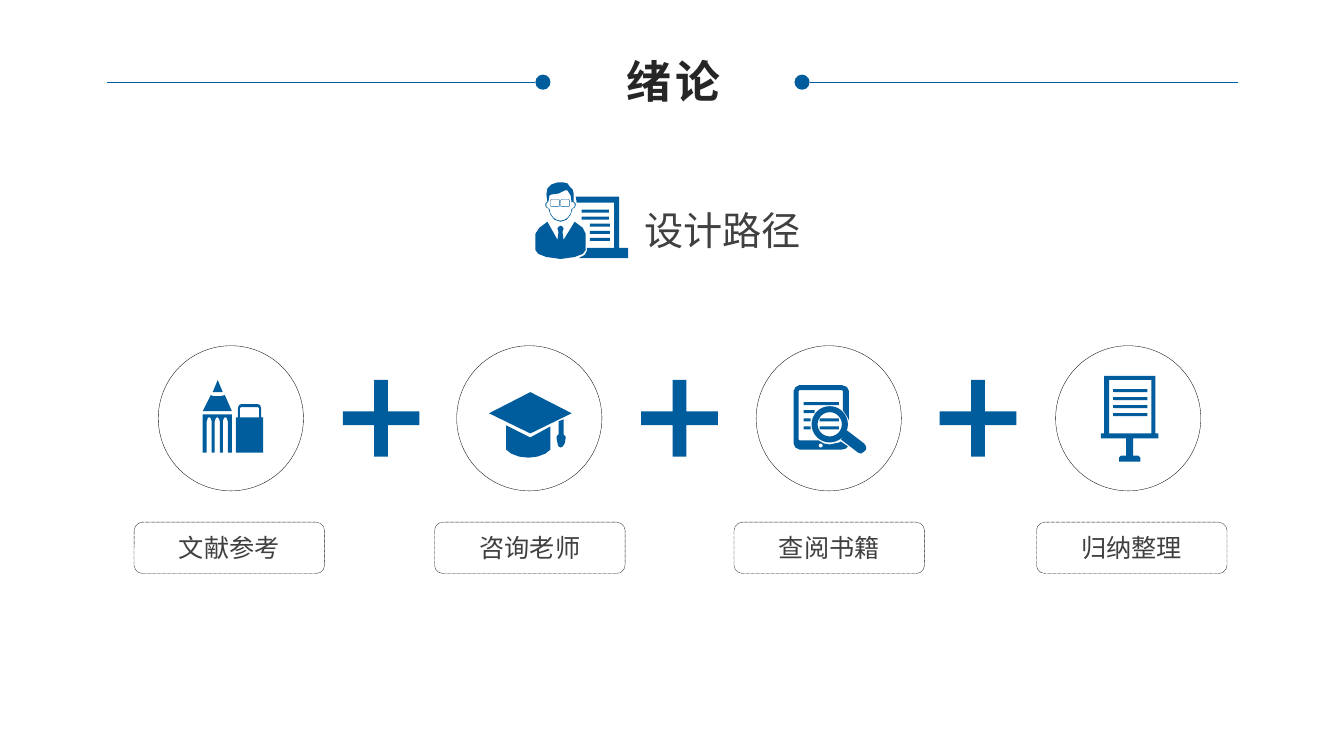
from math import cos, radians, sin

from lxml.etree import SubElement
from pptx import Presentation
from pptx.dml.color import RGBColor
from pptx.enum.dml import MSO_LINE
from pptx.enum.shapes import MSO_CONNECTOR, MSO_SHAPE as Shape
from pptx.enum.text import MSO_ANCHOR as Anchor, MSO_AUTO_SIZE as AutoSize, PP_ALIGN as Align
from pptx.oxml.ns import qn
from pptx.util import Pt

BLUE = RGBColor(0x00, 0x5D, 0x9D)
INK = RGBColor(0x0D, 0x0D, 0x0D)
TITLE = RGBColor(0x26, 0x26, 0x26)
GREY = RGBColor(0x40, 0x40, 0x40)
LATIN, HAN = "Arial", "Noto Sans CJK SC"
PX = 9144
HAIRLINE = Pt(0.25)


def circle(x, y, radius):
    """Return the corner points of a many-sided circle."""
    return [(x + radius * cos(radians(a)), y + radius * sin(radians(a))) for a in range(0, 360, 10)]


def rect(left, top, width, height):
    """Return the corner points of a rectangle."""
    return [(left, top), (left + width, top), (left + width, top + height), (left, top + height)]


class Painter:
    """Holds the slide and the house style, and draws each kind of element."""

    def __init__(self, slide):
        self.slide = slide
        self.shapes = slide.shapes

    def style(self, shape, fill=None, line=None, dash=None):
        shape.shadow.inherit = False
        if fill is None:
            shape.fill.background()
        else:
            shape.fill.solid()
            shape.fill.fore_color.rgb = fill
        if line is None:
            shape.line.fill.background()
        else:
            shape.line.color.rgb = line
            shape.line.width = HAIRLINE
            shape.line.dash_style = dash
        return shape

    def preset(self, kind, area, shapes=None, **style):
        shape = (shapes or self.shapes).add_shape(kind, *(n * PX for n in area))
        return self.style(shape, **style)

    def text(self, box, words, size, color, font=LATIN, bold=False, spacing=0, wrap=False):
        frame = box.text_frame
        frame.text = words
        frame.word_wrap = wrap
        para = frame.paragraphs[0]
        para.alignment = Align.CENTER
        span = para.runs[0]
        span.font.size = Pt(size)
        span.font.bold = bold
        span.font.name = font
        span.font.color.rgb = color
        properties = span.font._element
        properties.set("spc", str(spacing * 100))
        SubElement(properties, qn("a:ea")).set("typeface", HAN)
        return frame

    def title(self, words, area):
        box = self.slide.shapes.title
        box.left, box.top, box.width, box.height = (n * PX for n in area)
        frame = self.text(box, words, 32, TITLE, bold=True, spacing=3)
        frame.auto_size = AutoSize.SHAPE_TO_FIT_TEXT
        frame.vertical_anchor = Anchor.TOP

    def heading(self, words, area):
        box = self.shapes.add_textbox(*(n * PX for n in area))
        frame = self.text(box, words, 28, GREY, font=HAN, wrap=True)
        frame.auto_size = AutoSize.SHAPE_TO_FIT_TEXT

    def label(self, words, area):
        box = self.preset(Shape.ROUNDED_RECTANGLE, area, line=INK, dash=MSO_LINE.ROUND_DOT)
        self.text(box, words, 18, GREY).vertical_anchor = Anchor.MIDDLE

    def rule(self, start, end, y, dot_left):
        group = self.shapes.add_group_shape()
        line = group.shapes.add_connector(MSO_CONNECTOR.STRAIGHT, start * PX, y * PX, end * PX, y * PX)
        line.line.color.rgb = BLUE
        line.line.width = HAIRLINE
        SubElement(line._element.spPr, qn("a:effectLst"))
        self.preset(Shape.OVAL, (dot_left, y - 8, 15, 15), group.shapes, fill=BLUE)

    def icon(self, outlines, bars=(), lenses=()):
        group = self.shapes.add_group_shape()
        for contours in outlines:
            scaled = [[(x * PX, y * PX) for x, y in contour] for contour in contours]
            builder = group.shapes.build_freeform(*scaled[0][0])
            builder.add_line_segments(scaled[0][1:])
            for contour in scaled[1:]:
                builder.move_to(*contour[0])
                builder.add_line_segments(contour[1:])
            self.style(builder.convert_to_shape(), fill=BLUE)
        for bar in bars:
            self.preset(Shape.RECTANGLE, bar, group.shapes, fill=BLUE)
        for lens in lenses:
            self.preset(Shape.ROUNDED_RECTANGLE, lens, group.shapes, line=BLUE)


FLUTED_SHAFT = [(201, 449)]
for flute in (205, 213, 221):
    FLUTED_SHAFT += [(flute, 449), (flute, 418), (flute + 1, 415), (flute + 2, 414),
                     (flute + 3, 414), (flute + 4, 415), (flute + 5, 418), (flute + 5, 449)]
FLUTED_SHAFT += [(230, 449), (230, 411), (201, 411)]

PENCIL = [
    [FLUTED_SHAFT],
    [[(216, 377), (211, 389), (216, 389), (221, 389)]],
    [[(209, 392), (212, 393), (219, 393), (223, 392), (230, 408), (201, 408)]],
    [[(234, 414), (236, 414), (236, 405), (237, 402), (239, 401), (256, 401), (258, 402),
      (259, 405), (259, 414), (261, 414), (261, 449), (234, 449)],
     [(238, 414), (238, 405), (239, 404), (256, 404), (257, 405), (257, 414)]],
]
GRADUATION_CAP = [
    [[(502, 422), (526, 434), (546, 423), (546, 446), (541, 450), (533, 453), (524, 454),
      (515, 453), (507, 450), (502, 446)]],
    [[(526, 389), (567, 410), (526, 430), (485, 410)]],
    [[(559, 416), (559, 431), (561, 433), (561, 435), (560, 440), (558, 443), (556, 444),
      (554, 443), (553, 440), (552, 435), (552, 433), (554, 431), (554, 418)]],
]
TABLET_AND_LENS = [
    [[(834, 438), (832, 439), (823, 441), (817, 440), (812, 437), (793, 437), (792, 436),
      (792, 388), (793, 387), (835, 387), (836, 388), (836, 407), (840, 413), (842, 417),
      (842, 388), (840, 384), (835, 382), (793, 382), (789, 384), (787, 388), (787, 440),
      (789, 444), (793, 446), (835, 446), (839, 445), (841, 443)],
     circle(814, 442, 2)],
    [circle(823, 421, 18), circle(823, 421, 12)],
    [[(834, 436), (840, 427), (857, 440), (859, 443), (859, 446), (857, 448), (854, 450), (851, 449)]],
]
NOTICE_BOARD = [
    [[(1149, 435), (1149, 430), (1146, 430), (1146, 373), (1095, 373), (1095, 430), (1092, 430),
      (1092, 435), (1117, 435), (1117, 452), (1112, 452), (1110, 454), (1110, 458), (1131, 458),
      (1131, 454), (1129, 452), (1124, 452), (1124, 435)],
     rect(1100, 377, 42, 53)],
]
TEACHER = [
    [[(541, 204), (542, 206), (544, 207), (546, 213), (550, 218), (556, 220), (562, 218),
      (566, 213), (568, 207), (570, 206), (571, 204), (571, 202), (569, 200), (569, 192),
      (568, 188), (565, 185), (563, 182), (559, 181), (553, 181), (547, 183), (543, 187),
      (542, 193), (543, 200), (541, 202)],
     [(544, 200), (545, 194), (547, 193), (554, 192), (560, 189), (563, 189), (566, 194),
      (567, 201), (568, 200), (570, 202), (570, 205), (568, 207), (567, 207), (566, 212),
      (563, 216), (560, 218), (556, 219), (552, 218), (549, 216), (546, 212), (545, 207),
      (544, 207), (542, 205), (542, 202)]],
    [[(614, 246), (614, 195), (571, 195), (572, 201), (609, 201), (609, 246), (582, 246),
      (582, 249), (580, 253), (574, 256), (623, 256), (623, 246)]],
    [[(581, 248), (581, 232), (578, 226), (570, 220), (559, 238), (558, 230), (559, 227),
      (558, 225), (556, 224), (554, 225), (553, 227), (554, 230), (553, 238), (543, 220),
      (535, 226), (531, 232), (531, 248), (534, 252), (542, 255), (556, 257), (570, 255),
      (578, 252)]],
]
NOTICE_LINES = [(1104, 386 + 8 * row, 34, 3) for row in range(4)]
TABLET_LINES = [(797, 399, 35, 3), (797, 407, 11, 3)]
TABLET_LINES += [(left, top, width, 3) for top in (415, 423) for left, width in ((797, 7), (813, 19))]
TEACHER_LINES = [(577 if row < 2 else 585, 208 + 7 * row, 27 if row < 2 else 20, 3) for row in range(5)]

STEPS = [
    ("文献参考", 133, PENCIL, ()),
    ("咨询老师", 431, GRADUATION_CAP, ()),
    ("查阅书籍", 728, TABLET_AND_LENS, TABLET_LINES),
    ("归纳整理", 1028, NOTICE_BOARD, NOTICE_LINES),
]


def main():
    """Build the deck and save it."""
    deck = Presentation()
    deck.slide_width, deck.slide_height = 1333 * PX, 750 * PX
    page = Painter(deck.slides.add_slide(deck.slide_layouts[5]))
    page.title("绪论", (608, 48, 119, 64))
    page.rule(106, 531, 82, 531)
    page.rule(1228, 803, 82, 788)
    page.heading("设计路径", (619, 200, 195, 57))
    page.icon(TEACHER, TEACHER_LINES, [(546, 198, 9, 7), (556, 198, 9, 7)])
    for index, (words, label_left, outlines, bars) in enumerate(STEPS):
        page.preset(Shape.OVAL, (157 + index * 890 // 3, 343, 144, 144), line=INK)
        page.label(words, (label_left, 518, 189, 51))
        page.icon(outlines, bars)
        if index:
            plus = page.preset(Shape.CROSS, (44 + index * 296, 377, 76, 76), fill=BLUE)
            plus.adjustments[0] = 0.41
    deck.save("out.pptx")


if __name__ == "__main__":
    main()
